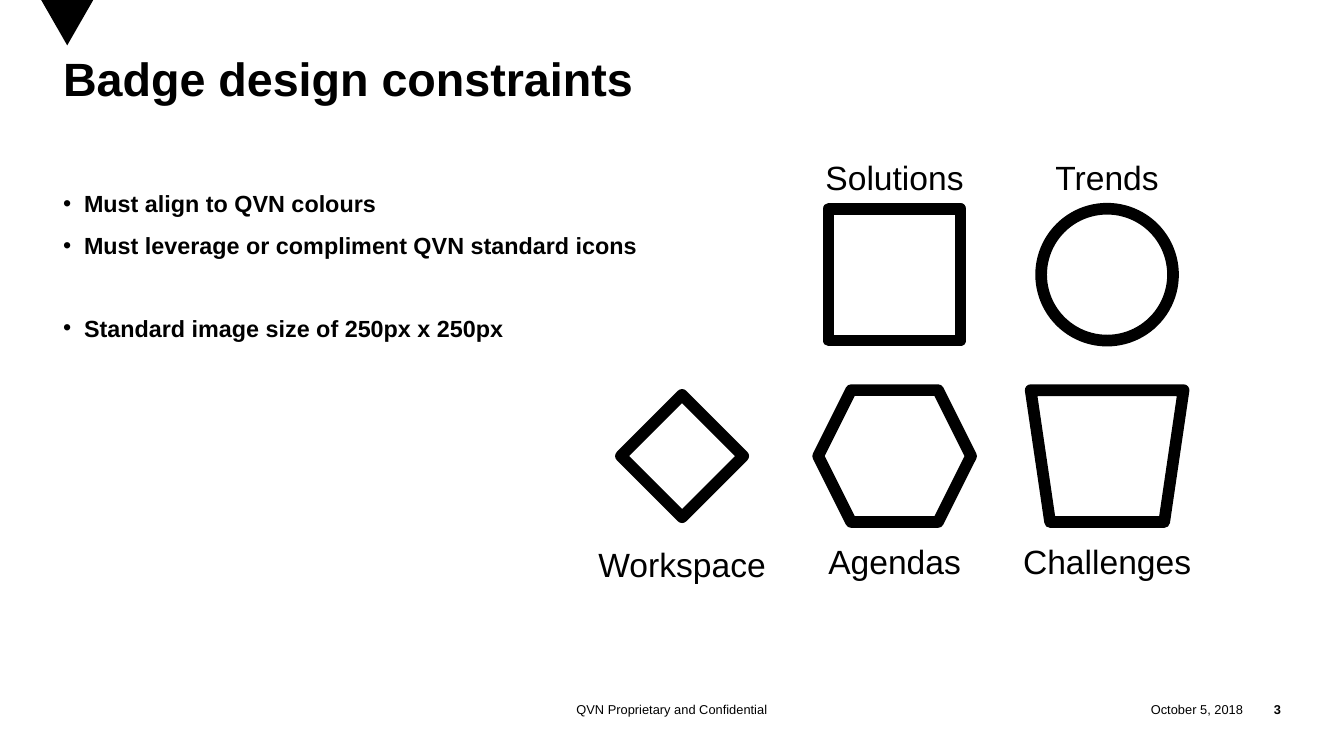
from dataclasses import dataclass

from lxml import etree
from pptx import Presentation
from pptx.dml.color import RGBColor
from pptx.enum.shapes import MSO_SHAPE
from pptx.enum.text import MSO_ANCHOR, MSO_AUTO_SIZE, PP_ALIGN
from pptx.oxml.ns import qn
from pptx.util import Inches, Pt

RECTANGLE, HEXAGON = MSO_SHAPE.RECTANGLE, MSO_SHAPE.HEXAGON
OVAL, TRAPEZOID = MSO_SHAPE.OVAL, MSO_SHAPE.TRAPEZOID
TOP, MIDDLE = MSO_ANCHOR.TOP, MSO_ANCHOR.MIDDLE
LEFT, CENTER, RIGHT = PP_ALIGN.LEFT, PP_ALIGN.CENTER, PP_ALIGN.RIGHT
NO_AUTOFIT = MSO_AUTO_SIZE.NONE

TITLE = "Badge design constraints"
BULLETS = [
    ("Must align to QVN colours", 12),
    ("Must leverage or compliment QVN standard icons", 12),
    ("Standard image size of 250px x 250px", 47),
]
BADGES = [
    {"label": "Solutions", "column": 1, "row": 0, "kind": RECTANGLE,
     "size": (1.57, 1.57), "label_top": 1.82, "label_width": 1.86},
    {"label": "Trends", "column": 2, "row": 0, "kind": OVAL,
     "size": (1.57, 1.57), "label_top": 1.82, "label_width": 1.44},
    {"label": "Workspace", "column": 0, "row": 1, "kind": RECTANGLE,
     "size": (1.03, 1.03), "label_top": 6.42, "label_width": 2.21, "rotation": 45},
    {"label": "Agendas", "column": 1, "row": 1, "kind": HEXAGON,
     "size": (1.82, 1.57), "label_top": 6.39, "label_width": 1.8},
    {"label": "Challenges", "column": 2, "row": 1, "kind": TRAPEZOID,
     "size": (1.82, 1.57), "label_top": 6.39, "label_width": 2.22,
     "rotation": 180, "adjustment": 0.147},
]
FOOTERS = [
    ("QVN Proprietary and Confidential", 5.25, 5.5, CENTER, False),
    ("October 5, 2018", 13.01, 1.79, RIGHT, False),
    ("3", 14.8, 0.45, RIGHT, True),
]
MARKER = [(0.49, 0), (0.8, 0.54), (1.11, 0)]
COLUMN_START, COLUMN_STEP = 8.12, 2.53
ROW_START, ROW_STEP = 3.27, 2.16
LABEL_HEIGHT = 0.59
FOOTER_TOP, FOOTER_HEIGHT = 8.29, 0.3


@dataclass(frozen=True)
class Theme:
    font: str = "Arial"
    ink: RGBColor = RGBColor(0, 0, 0)
    paper: RGBColor = RGBColor(255, 255, 255)
    title_size: float = 40
    body_size: float = 20
    label_size: float = 28.8
    footer_size: float = 11
    outline: float = 10


THEME = Theme()


def set_attributes(target, values):
    for name, value in values.items():
        setattr(target, name, value)


def place(shape, left, top, width, height):
    set_attributes(shape, {
        "left": Inches(left), "top": Inches(top),
        "width": Inches(width), "height": Inches(height),
    })


def format_frame(frame, anchor, wrap, inset=0):
    set_attributes(frame, {
        "auto_size": NO_AUTOFIT, "word_wrap": wrap, "vertical_anchor": anchor,
        "margin_left": Inches(inset), "margin_right": Inches(inset),
        "margin_top": Inches(inset / 2), "margin_bottom": Inches(inset / 2),
    })


def write(paragraph, text, size, bold=False, align=LEFT):
    run = paragraph.add_run()
    run.text = text
    paragraph.alignment = align
    set_attributes(run.font, {"name": THEME.font, "size": Pt(size), "bold": bold})
    run.font.color.rgb = THEME.ink


def add_text(slide, text, box, size, align, anchor=TOP, bold=False, inset=0):
    left, top, width, height = box
    shape = slide.shapes.add_textbox(
        Inches(left), Inches(top), Inches(width), Inches(height))
    format_frame(shape.text_frame, anchor, False, inset)
    write(shape.text_frame.paragraphs[0], text, size, bold, align)


def add_marker(slide):
    start, *corners = [(Inches(x), Inches(y)) for x, y in MARKER]
    builder = slide.shapes.build_freeform(*start)
    builder.add_line_segments(corners, close=True)
    shape = builder.convert_to_shape()
    shape.shadow.inherit = False
    shape.fill.solid()
    shape.fill.fore_color.rgb = THEME.ink
    shape.line.fill.background()


def add_title(slide):
    title = slide.shapes.title
    place(title, 0.75, 0.7, 14.5, 1.55)
    format_frame(title.text_frame, TOP, True)
    paragraph = title.text_frame.paragraphs[0]
    paragraph.line_spacing = 0.85
    write(paragraph, TITLE, THEME.title_size, True)


def add_bullets(slide):
    body = slide.placeholders[1]
    place(body, 0.75, 2.25, 7.64, 5.6)
    frame = body.text_frame
    format_frame(frame, TOP, True)
    for index, (text, space_before) in enumerate(BULLETS):
        paragraph = frame.add_paragraph() if index else frame.paragraphs[0]
        write(paragraph, text, THEME.body_size, True)
        paragraph.space_before = Pt(space_before)
        properties = paragraph._p.get_or_add_pPr()
        properties.set("marL", str(Inches(0.25)))
        properties.set("indent", str(Inches(-0.25)))
        etree.SubElement(properties, qn("a:buChar"), char="•")


def add_badge(slide, badge):
    center_x = COLUMN_START + COLUMN_STEP * badge["column"]
    center_y = ROW_START + ROW_STEP * badge["row"]
    width, height = badge["size"]
    shape = slide.shapes.add_shape(
        badge["kind"], Inches(center_x - width / 2), Inches(center_y - height / 2),
        Inches(width), Inches(height))
    shape.shadow.inherit = False
    shape.rotation = badge.get("rotation", 0)
    if "adjustment" in badge:
        shape.adjustments[0] = badge["adjustment"]
    shape.fill.solid()
    shape.fill.fore_color.rgb = THEME.paper
    shape.line.color.rgb = THEME.ink
    shape.line.width = Pt(THEME.outline)
    etree.SubElement(shape.line._get_or_add_ln(), qn("a:round"))

    label_width = badge["label_width"]
    box = (center_x - label_width / 2, badge["label_top"], label_width, LABEL_HEIGHT)
    add_text(slide, badge["label"], box, THEME.label_size, CENTER, inset=0.1)


def main():
    presentation = Presentation()
    presentation.slide_width = Inches(16)
    presentation.slide_height = Inches(9)
    slide = presentation.slides.add_slide(presentation.slide_layouts[1])
    add_marker(slide)
    add_title(slide)
    add_bullets(slide)
    for badge in BADGES:
        add_badge(slide, badge)
    for text, left, width, align, bold in FOOTERS:
        box = (left, FOOTER_TOP, width, FOOTER_HEIGHT)
        add_text(slide, text, box, THEME.footer_size, align, MIDDLE, bold)
    presentation.save("out.pptx")


if __name__ == "__main__":
    main()
